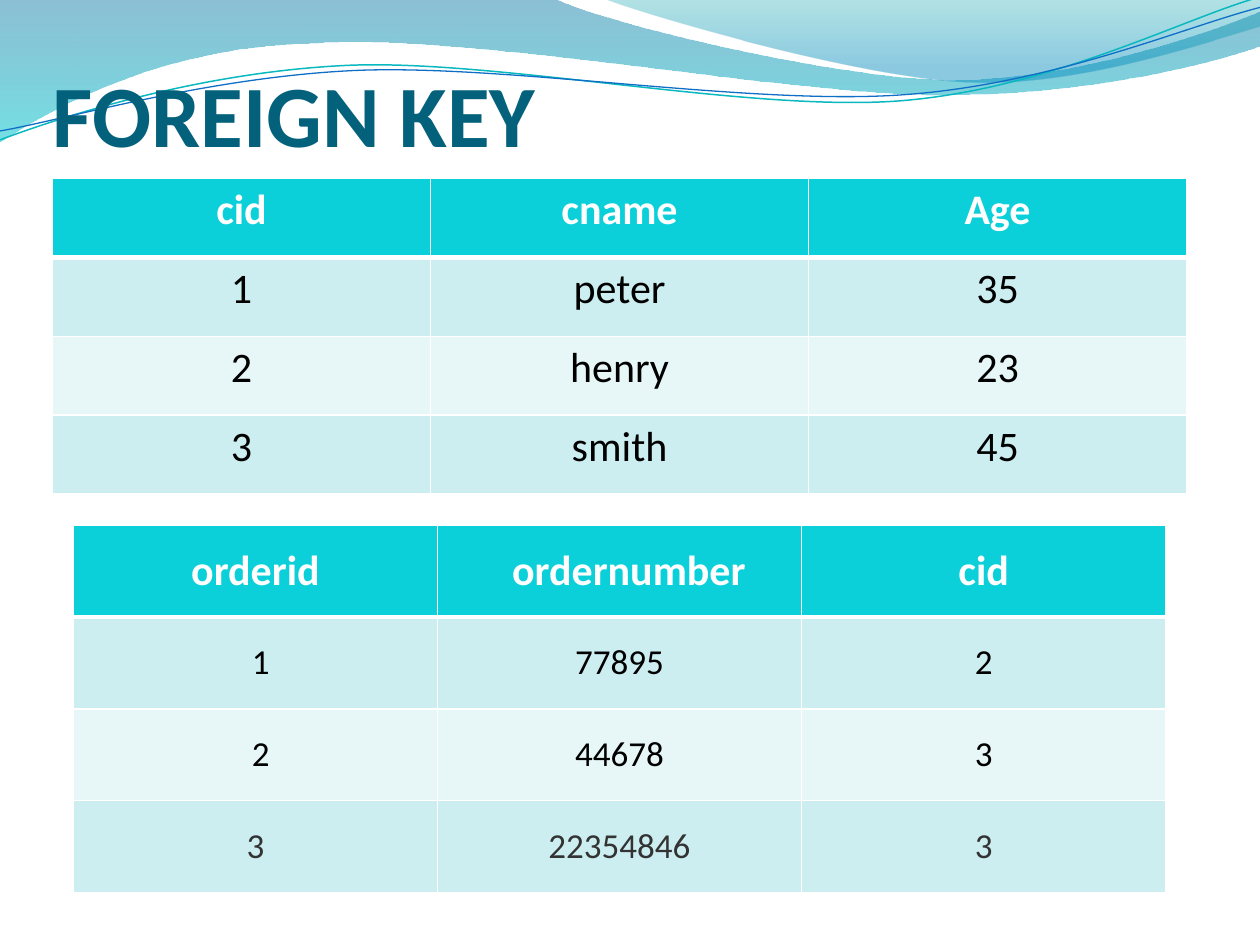
from lxml.etree import SubElement
from pptx import Presentation
from pptx.dml.color import RGBColor
from pptx.enum.text import MSO_ANCHOR, PP_ALIGN
from pptx.oxml import parse_xml
from pptx.oxml.ns import nsdecls, qn
from pptx.util import Cm, Pt

WHITE = RGBColor(0xFF, 0xFF, 0xFF)
BLACK = RGBColor(0x00, 0x00, 0x00)
CHARCOAL = RGBColor(0x33, 0x33, 0x33)
TITLE_BLUE = RGBColor(0x04, 0x61, 0x7B)
HEADER_TEAL = RGBColor(0x0B, 0xD0, 0xD9)
ROW_DARK = RGBColor(0xCC, 0xEE, 0xF1)
ROW_LIGHT = RGBColor(0xE7, 0xF7, 0xF8)
LINE_TEAL = RGBColor(0x0A, 0xB8, 0xBF)
LINE_BLUE = RGBColor(0x0F, 0x6F, 0xC6)
BAND_TOP = RGBColor(0x00, 0x74, 0xA1)
BAND_BOTTOM = RGBColor(0x00, 0xC6, 0xCF)
CORNER_TOP = RGBColor(0x00, 0xA1, 0xA9)
CORNER_BOTTOM = RGBColor(0x00, 0x8B, 0xBF)


def write(frame, text, size, color, bold=False, align=PP_ALIGN.LEFT):
    paragraph = frame.paragraphs[0]
    paragraph.alignment = align
    span = paragraph.add_run()
    span.text = text
    span.font.name = "Calibri"
    span.font.size = Pt(size)
    span.font.bold = bold
    span.font.color.rgb = color


def draw_outline(page, start, steps, close):
    """Draw steps in cm: two numbers are a straight line, six a Bezier curve."""
    builder = page.shapes.build_freeform(Cm(start[0]), Cm(start[1]))
    builder.add_line_segments([(Cm(step[-2]), Cm(step[-1])) for step in steps], close=close)
    shape = builder.convert_to_shape()
    shape.shadow.inherit = False
    segments = list(shape._element.iter(qn("a:lnTo")))
    for segment, step in zip(segments, steps):
        if len(step) == 6:
            curve = parse_xml(f'<a:cubicBezTo {nsdecls("a")}/>')
            for x, y in zip(step[::2], step[1::2]):
                SubElement(curve, qn("a:pt"), x=str(Cm(x) - shape.left), y=str(Cm(y) - shape.top))
            segment.getparent().replace(segment, curve)
    return shape


deck = Presentation()
deck.slide_width, deck.slide_height = Cm(25.4), Cm(19.05)
page = deck.slides.add_slide(deck.slide_layouts[6])

# Wave bands: start, steps, gradient stops (position, colour, opacity in percent)
bands = [
    ((0, 0),
     [(11.18, -0.03), (12.09, 0.43, 16.87, 1.6, 19.25, 1.6),
      (21.67, 1.6, 24.33, 0.66, 25.4, 0.23), (25.43, 0.91),
      (24.97, 1.12, 22.1, 1.93, 18.95, 1.91), (15.8, 1.91, 9.7, 0.71, 6.53, 0.86),
      (3.28, 0.91, 1.17, 2.11, -0.03, 2.87)],
     [(0, BAND_TOP, 45), (100, BAND_BOTTOM, 55)]),
    ((12.17, -0.03),
     [(12.93, 0.28, 17.32, 1.57, 19.53, 1.65),
      (21.74, 1.75, 24.41, 0.81, 25.4, 0.53), (25.4, 0)],
     [(0, CORNER_TOP, 30), (80, CORNER_BOTTOM, 45)]),
]
for start, steps, stops in bands:
    band = draw_outline(page, start, steps, close=True)
    band.line.fill.background()
    stop_xml = "".join(
        f'<a:gs pos="{position * 1000}"><a:srgbClr val="{color}">'
        f'<a:alpha val="{opacity * 1000}"/></a:srgbClr></a:gs>'
        for position, color, opacity in stops)
    gradient = parse_xml(f'<a:gradFill {nsdecls("a")}><a:gsLst>{stop_xml}</a:gsLst>'
                         '<a:lin ang="5400000" scaled="0"/></a:gradFill>')
    band._element.spPr.find(qn("a:custGeom")).addnext(gradient)

# Thin wave lines, drawn level and then tilted
waves = [
    ((-0.05, 2.22),
     [(1.19, 1.82, 4.02, 1.04, 7.05, 1.05), (10.05, 1.07, 15.02, 2.37, 18.08, 2.29),
      (21.13, 2.2, 23.87, 0.91, 25.41, 0.55)], LINE_TEAL, 0.85),
    ((-0.04, 2.04),
     [(1.16, 1.9, 4.18, 1.15, 7.2, 1.16), (10.25, 1.18, 15.13, 2.25, 18.18, 2.17),
      (21.21, 2.1, 23.93, 1.06, 25.45, 0.75)], LINE_BLUE, 0.75),
]
for start, steps, color, width in waves:
    wave = draw_outline(page, start, steps, close=False)
    wave.rotation = 357.3
    wave.fill.background()
    wave.line.color.rgb = color
    wave.line.width = Pt(width)

title = page.shapes.add_textbox(Cm(1.06), Cm(1.04), Cm(22.86), Cm(2.29)).text_frame
title.word_wrap = True
title.vertical_anchor = MSO_ANCHOR.BOTTOM
title.margin_left = title.margin_right = title.margin_bottom = 0
write(title, "FOREIGN KEY", 50, TITLE_BLUE, bold=True)

customers = [("cid", "cname", "Age"), ("1", "peter", "35"),
             ("2", "henry", "23"), ("3", "smith", "45")]
orders = [("orderid", "ordernumber", "cid"), ("1", "77895", "2"),
          ("2", "44678", "3"), ("3", "22354846", "3")]
# Left margins that push single order cells to the right
indents = {(0, 1): Cm(0.63), (1, 0): Cm(0.42), (2, 0): Cm(0.42)}

# Rows, left, top, column width, row height, body text size
tables = [(customers, 1.06, 3.6, 7.62, 1.59, 24),
          (orders, 1.48, 10.59, 7.34, 1.85, 20)]
for rows, left, top, column_width, row_height, body_size in tables:
    table = page.shapes.add_table(4, 3, Cm(left), Cm(top), Cm(3 * column_width),
                                  Cm(4 * row_height)).table
    for column in table.columns:
        column.width = Cm(column_width)
    for r, values in enumerate(rows):
        table.rows[r].height = Cm(row_height)
        header = r == 0
        for c, value in enumerate(values):
            cell = table.cell(r, c)
            color = WHITE if header else BLACK
            if rows is orders:
                cell.vertical_anchor = MSO_ANCHOR.MIDDLE
                if not header:
                    cell.margin_left = cell.margin_right = Cm(0.21)
                    cell.margin_top = cell.margin_bottom = Cm(0.21)
                if (r, c) in indents:
                    cell.margin_left = indents[r, c]
                if r == 3:
                    color = CHARCOAL
            write(cell.text_frame, value, 24 if header else body_size, color,
                  bold=header, align=PP_ALIGN.CENTER)
            properties = cell._tc.get_or_add_tcPr()
            for side in "LRTB":
                thick = (r, side) in [(0, "B"), (1, "T")]
                border = SubElement(properties, qn(f"a:ln{side}"), w=str(Pt(3 if thick else 1)))
                border_fill = SubElement(border, qn("a:solidFill"))
                SubElement(border_fill, qn("a:srgbClr"), val=str(WHITE))
            cell.fill.solid()
            cell.fill.fore_color.rgb = HEADER_TEAL if header else ROW_DARK if r % 2 else ROW_LIGHT

deck.save("out.pptx")
